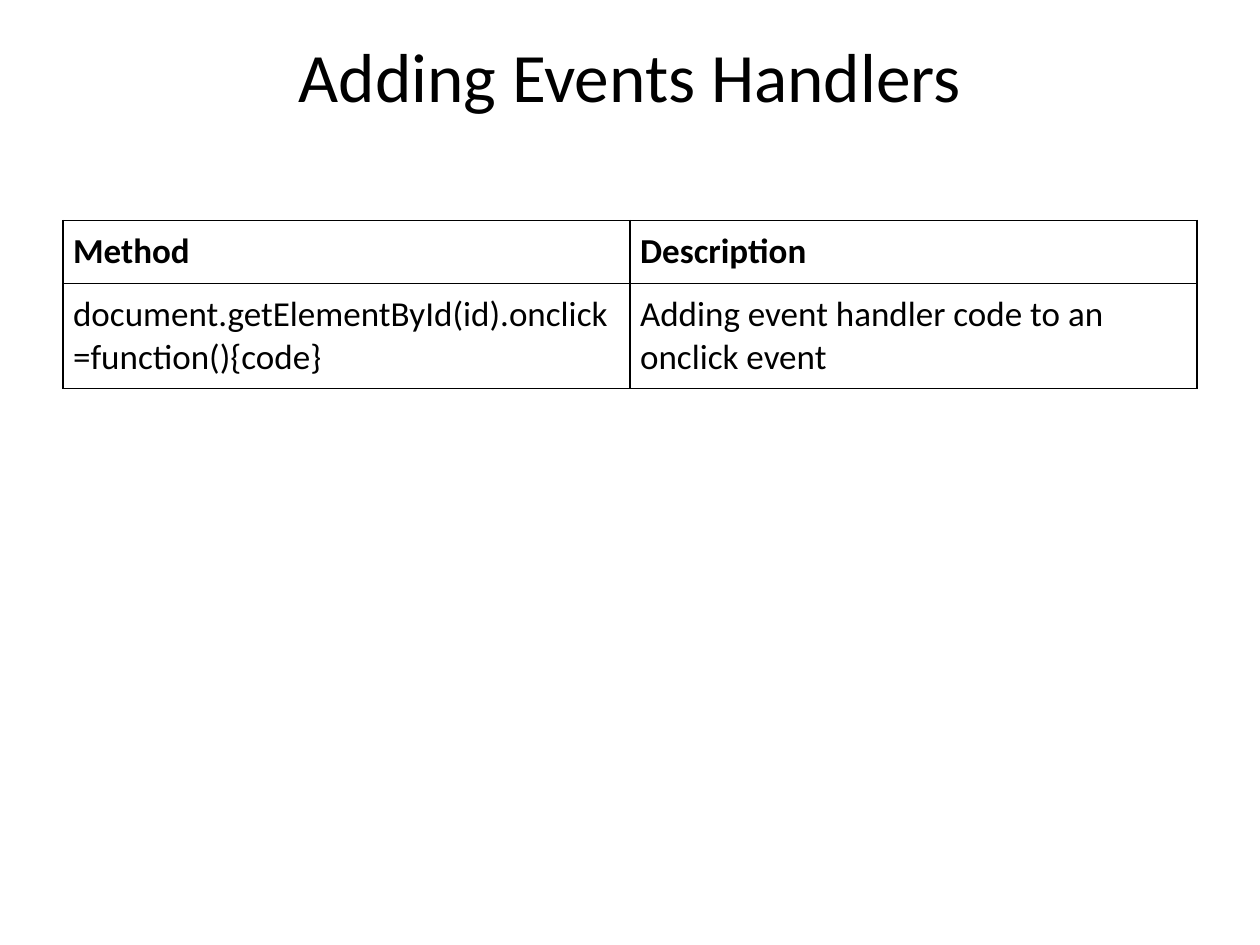
from lxml.etree import SubElement
from pptx import Presentation
from pptx.dml.color import RGBColor
from pptx.enum.text import MSO_ANCHOR as Anchor, PP_ALIGN as Align
from pptx.oxml.ns import qn
from pptx.util import Pt

COLORS = {"ink": "000000", "paper": "FFFFFF"}
FONT = "Calibri"
MARGIN = 36
CONTENT_WIDTH = 648
CELL_INSET = 5.76
ROW_HEIGHTS = (36, 60)
ROWS = (
    ("Method", "Description"),
    ("document.getElementById(id).onclick=function(){code}",
     "Adding event handler code to an onclick event"),
)


def add_run(paragraph, text, size, bold=False):
    run = paragraph.add_run()
    run.text = text
    run.font.name = FONT
    run.font.size = Pt(size)
    run.font.bold = bold
    run.font.color.rgb = RGBColor.from_string(COLORS["ink"])


def add_title(slide, text):
    title = slide.shapes.add_textbox(
        Pt(MARGIN), Pt(21.6), Pt(CONTENT_WIDTH), Pt(90))
    frame = title.text_frame
    frame.word_wrap = True
    frame.vertical_anchor = Anchor.BOTTOM
    frame.margin_top = 0
    frame.margin_bottom = Pt(45)
    heading = frame.paragraphs[0]
    heading.alignment = Align.CENTER
    add_run(heading, text, 39.6)


def add_borders(cell):
    """Put the four border lines ahead of the cell's fill, as the schema asks."""
    properties = cell._tc.get_or_add_tcPr()
    for position, side in enumerate(("lnL", "lnR", "lnT", "lnB")):
        border = SubElement(properties, qn(f"a:{side}"), w=str(Pt(1)))
        fill = SubElement(border, qn("a:solidFill"))
        SubElement(fill, qn("a:srgbClr"), val=COLORS["ink"])
        properties.insert(position, border)


def fill_cell(cell, text, bold):
    cell.fill.solid()
    cell.fill.fore_color.rgb = RGBColor.from_string(COLORS["paper"])
    cell.margin_left = cell.margin_right = Pt(CELL_INSET)
    cell.margin_top = cell.margin_bottom = Pt(CELL_INSET)
    add_borders(cell)
    add_run(cell.text_frame.paragraphs[0], text, 20, bold)


def add_method_table(slide):
    methods = slide.shapes.add_table(
        len(ROWS), len(ROWS[0]), Pt(MARGIN), Pt(126),
        Pt(CONTENT_WIDTH), Pt(sum(ROW_HEIGHTS))).table
    methods.horz_banding = False
    for row, (height, texts) in enumerate(zip(ROW_HEIGHTS, ROWS)):
        methods.rows[row].height = Pt(height)
        for column, text in enumerate(texts):
            fill_cell(methods.cell(row, column), text, bold=row == 0)


def main():
    deck = Presentation()
    deck.slide_width, deck.slide_height = Pt(720), Pt(540)
    slide = deck.slides.add_slide(deck.slide_layouts[6])
    add_title(slide, "Adding Events Handlers")
    add_method_table(slide)
    deck.save("out.pptx")


if __name__ == "__main__":
    main()
